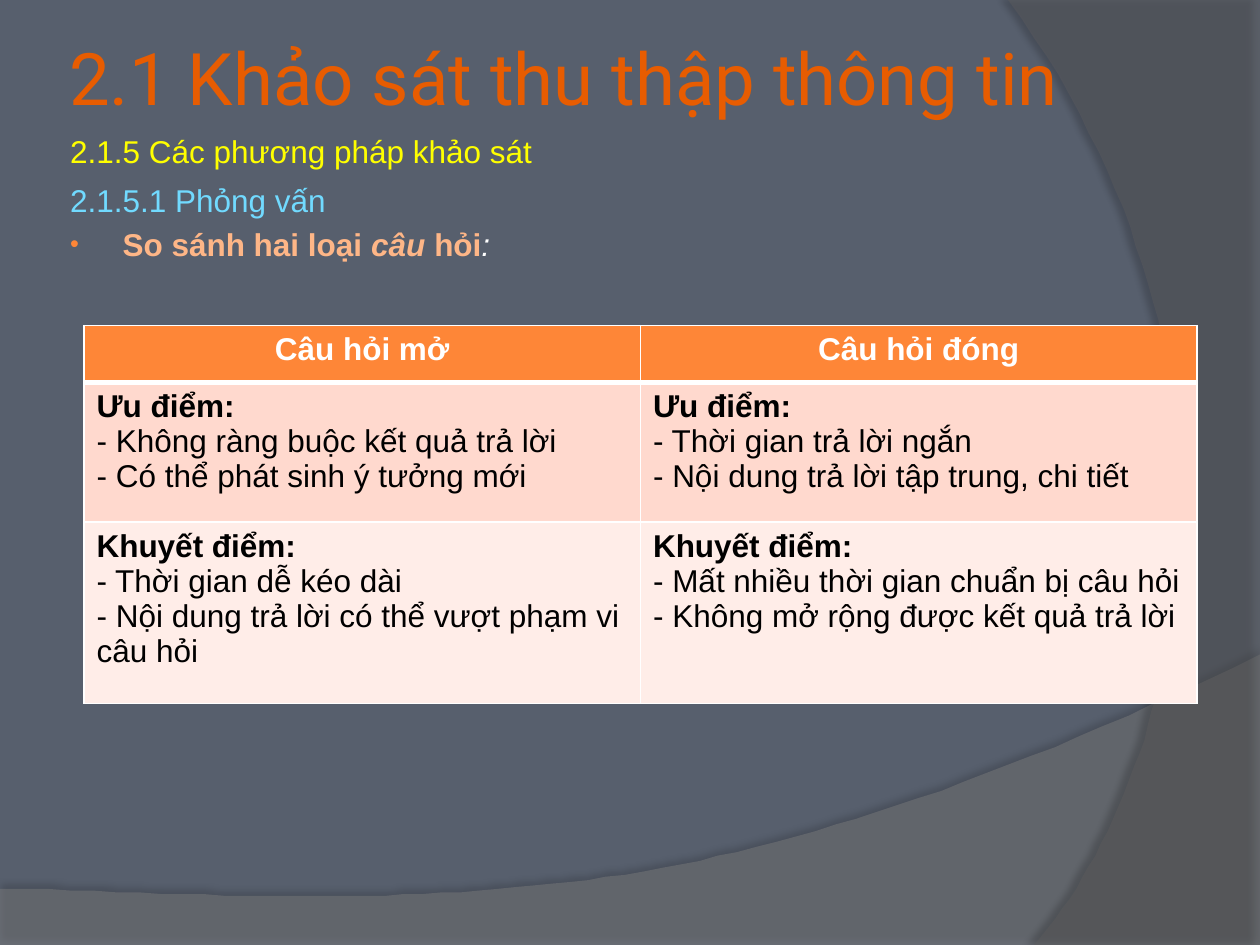
from lxml.etree import fromstring
from pptx import Presentation
from pptx.dml.color import RGBColor
from pptx.enum.text import MSO_ANCHOR as Anchor, MSO_AUTO_SIZE as AutoSize, PP_ALIGN as Align
from pptx.util import Pt

NS = 'xmlns:a="http://schemas.openxmlformats.org/drawingml/2006/main"'


def color(value):
    return RGBColor.from_string(value)


def style(span, tint, bold=False, italic=False, size=18, face="Arial"):
    span.font.name, span.font.size = face, Pt(size)
    span.font.bold, span.font.italic = bold, italic
    span.font.color.rgb = color(tint)


deck = Presentation()
deck.slide_width, deck.slide_height = Pt(720), Pt(540)
page = deck.slides.add_slide(deck.slide_layouts[5])
page.background.fill.solid()
page.background.fill.fore_color.rgb = color("575F6D")

swooshes = [
    ([(0, 540.5), (720, 540.5)], [(720, 374.4), (402.5, 525), (281.5, 517.5), (0, 507.5)],
     "7F7F7F", 45, 35, 3.5, 270),
    ([(720, 0), (720, 540)], [(591, 540), (673, 445.5), (733, 216), (576, 0)],
     "5E5E5E", 40, 45, 4, 180),
]
for corners, curve, tint, opacity, shade, distance, angle in swooshes:
    points = list(corners)
    for step in range(61):
        t = step / 60
        weights = ((1 - t) ** 3, 3 * t * (1 - t) ** 2, 3 * t * t * (1 - t), t ** 3)
        points.append(tuple(sum(w * p[axis] for w, p in zip(weights, curve)) for axis in (0, 1)))
    builder = page.shapes.build_freeform(*points[0], scale=Pt(1))
    builder.add_line_segments(points[1:], close=True)
    swoosh = builder.convert_to_shape()
    swoosh.line.fill.background()
    swoosh.fill.solid()
    swoosh.fill.fore_color.rgb = color(tint)
    properties = swoosh.element.spPr
    properties.find(".//{*}solidFill/{*}srgbClr").append(
        fromstring(f'<a:alpha {NS} val="{opacity * 1000}"/>'))
    properties.append(fromstring(
        f'<a:effectLst {NS}><a:outerShdw blurRad="{Pt(4)}" dist="{Pt(distance)}" '
        f'dir="{angle * 60000}" algn="ctr" rotWithShape="0"><a:srgbClr val="000000">'
        f'<a:alpha val="{shade * 1000}"/></a:srgbClr></a:outerShdw></a:effectLst>'))

title = page.shapes.title
page.shapes.element.append(title.element)
title.left, title.top, title.width, title.height = Pt(36), Pt(21.6), Pt(588), Pt(44.6)
frame = title.text_frame
frame.text = "2.1 Khảo sát thu thập thông tin"
frame.auto_size, frame.word_wrap = AutoSize.NONE, True
frame.vertical_anchor = Anchor.MIDDLE
frame.margin_left = frame.margin_right = frame.margin_top = frame.margin_bottom = Pt(3.6)
frame.paragraphs[0].alignment = Align.LEFT
style(frame.paragraphs[0].runs[0], "E75C01", size=41.4, face="Roboto")

body = page.shapes.add_textbox(Pt(30), Pt(72), Pt(672), Pt(456))
body.text_frame.word_wrap = True
lines = [
    (4, [("2.1.5 Các phương pháp khảo sát", "FFFF00", False, False)]),
    (6, [("2.1.5.1 Phỏng vấn", "71DAFF", False, False)]),
    (4, [("So sánh hai loại ", "FEB687", True, False), ("câu ", "FEB687", True, True),
         ("hỏi", "FEB687", True, False), (":", "FFFFFF", False, True)]),
]
for index, (gap, spans) in enumerate(lines):
    para = body.text_frame.paragraphs[0] if index == 0 else body.text_frame.add_paragraph()
    para.space_before = Pt(gap)
    for text, tint, bold, italic in spans:
        span = para.add_run()
        span.text = text
        style(span, tint, bold, italic)
    settings = para._p.get_or_add_pPr()
    settings.set("marL", str(Pt(33)))
    settings.set("indent", str(Pt(-30)))
for bullet in ('<a:buClr {}><a:srgbClr val="FE8637"/></a:buClr>', '<a:buSzPct {} val="80000"/>',
               '<a:buFont {} typeface="Arial"/>', '<a:buChar {} char="•"/>'):
    settings.append(fromstring(bullet.format(NS)))

rows = [
    (32.4, "FE8637", ["Câu hỏi mở", "Câu hỏi đóng"]),
    (80, "FFD9CE", ["Ưu điểm:\n- Không ràng buộc kết quả trả lời\n- Có thể phát sinh ý tưởng mới",
                    "Ưu điểm:\n- Thời gian trả lời ngắn\n- Nội dung trả lời tập trung, chi tiết"]),
    (103.6, "FFEDE8", ["Khuyết điểm:\n- Thời gian dễ kéo dài\n"
                       "- Nội dung trả lời có thể vượt phạm vi câu hỏi",
                       "Khuyết điểm:\n- Mất nhiều thời gian chuẩn bị câu hỏi\n"
                       "- Không mở rộng được kết quả trả lời"]),
]
table = page.shapes.add_table(3, 2, Pt(48), Pt(186), Pt(636), Pt(216)).table
for row, (height, tint, texts) in enumerate(rows):
    table.rows[row].height = Pt(height)
    for column, text in enumerate(texts):
        cell = table.cell(row, column)
        cell.text_frame.text = text
        cell.fill.solid()
        cell.fill.fore_color.rgb = color(tint)
        for index, para in enumerate(cell.text_frame.paragraphs):
            para.alignment = Align.CENTER if row == 0 else Align.LEFT
            style(para.runs[0], "FFFFFF" if row == 0 else "000000", bold=index == 0)
        widths = {"L": 1, "R": 1, "T": 3 if row == 1 else 1, "B": 3 if row == 0 else 1}
        for index, (side, width) in enumerate(widths.items()):
            cell._tc.get_or_add_tcPr().insert(index, fromstring(
                f'<a:ln{side} {NS} w="{Pt(width)}"><a:solidFill><a:srgbClr val="FFFFFF"/>'
                f'</a:solidFill></a:ln{side}>'))

deck.save("out.pptx")
